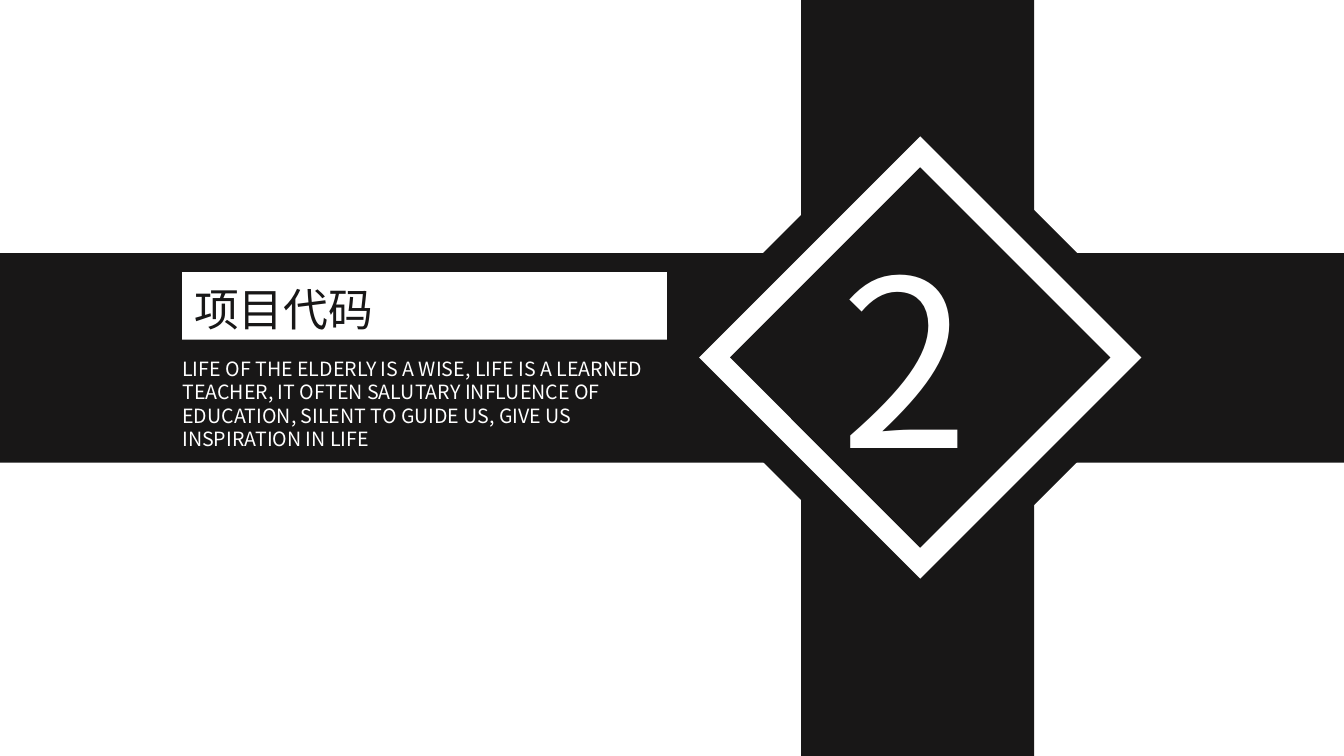
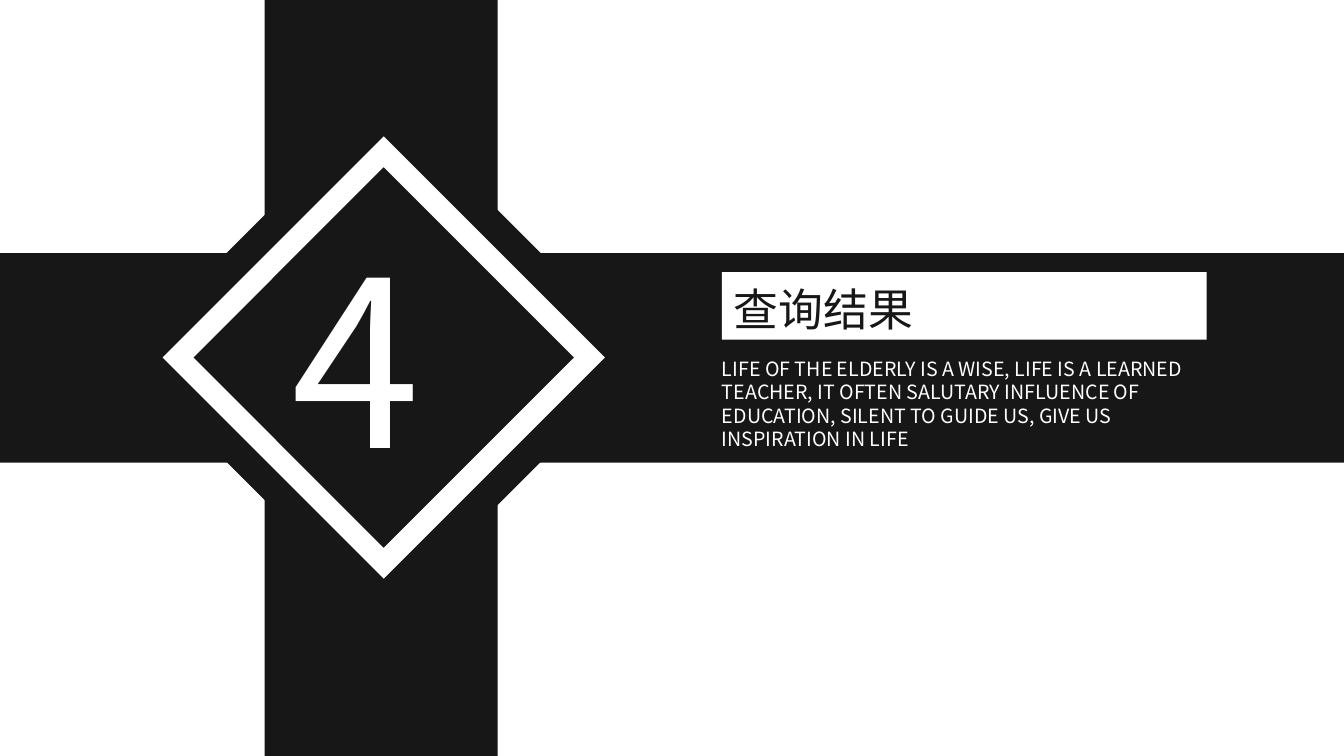
from pptx import Presentation
from pptx.dml.color import RGBColor
from pptx.enum.shapes import MSO_SHAPE
from pptx.enum.text import MSO_ANCHOR, MSO_AUTO_SIZE, PP_ALIGN
from pptx.oxml.ns import qn
from pptx.util import Cm, Pt
from lxml.etree import SubElement

WIDE, HIGH = 33.87, 19.05
INK, PAPER = "181717", "FFFFFF"
FONT = "Noto Sans CJK SC"
MID = 9.01  # height of the diamond's centre
RINGS = [(9.32, INK), (7.88, PAPER), (6.78, INK)]
MOTTO = ("LIFE OF THE ELDERLY IS A WISE, LIFE IS A LEARNED TEACHER, "
         "IT OFTEN SALUTARY INFLUENCE OF EDUCATION, SILENT TO GUIDE US, "
         "GIVE US INSPIRATION IN LIFE")

# number, heading, diamond centre, number left, plate left
PARTS = [
    ("2", "项目代码", 23.19, 20.93, 4.59),
    ("4", "查询结果", 9.67, 7.09, 18.19),
]


def paint(target, color):
    target.solid()
    target.fore_color.rgb = RGBColor.from_string(color)


def add_rect(slide, left, top, width, height, color, turn=0):
    rect = slide.shapes.add_shape(
        MSO_SHAPE.RECTANGLE, Cm(left), Cm(top), Cm(width), Cm(height))
    rect.shadow.inherit = False
    rect.line.fill.background()
    rect.rotation = turn
    paint(rect.fill, color)


def place(shape, left, top, width, height):
    """Move a text shape to its spot, in front of all others."""
    shape.left, shape.top = Cm(left), Cm(top)
    shape.width, shape.height = Cm(width), Cm(height)
    shape.element.getparent().append(shape.element)


def write(shape, text, size, color, align=PP_ALIGN.LEFT):
    frame = shape.text_frame
    frame.word_wrap = True
    frame.auto_size = MSO_AUTO_SIZE.NONE
    frame.vertical_anchor = MSO_ANCHOR.TOP
    para = frame.paragraphs[0]
    para.alignment = align
    para.line_spacing = 1.0
    para.space_before = Pt(0)
    run = para.add_run()
    run.text = text
    font = run.font
    font.size, font.bold, font.name = Pt(size), False, FONT
    paint(font.fill, color)
    SubElement(run._r.get_or_add_rPr(), qn("a:ea"), typeface=FONT)


def add_cross(slide, center):
    """Draw the two bands and the nested diamonds where they meet."""
    add_rect(slide, center - 3, 0, 5.87, HIGH, INK)
    add_rect(slide, 0, 6.38, WIDE, 5.28, INK)
    for side, color in RINGS:
        add_rect(slide, center - side / 2, MID - side / 2,
                 side, side, color, 45)


def add_part(deck, number, heading, center, left, plate):
    slide = deck.slides.add_slide(deck.slide_layouts.get_by_name("Section Header"))
    add_cross(slide, center)
    add_rect(slide, plate, 6.86, 12.22, 1.7, PAPER)

    digit = slide.shapes.add_textbox(0, 0, 0, 0)
    place(digit, left, 5.33, 4.4, 7.34)
    write(digit, number, 166, PAPER)

    body = slide.placeholders[1]
    place(body, plate - 0.25, 8.86, 12.62, 2.64)
    write(body, MOTTO, 14, PAPER)

    title = slide.shapes.title
    place(title, plate + 0.05, 6.96, 12.07, 1.63)
    write(title, heading, 32, INK, PP_ALIGN.JUSTIFY)


def main():
    deck = Presentation()
    deck.slide_width, deck.slide_height = Cm(WIDE), Cm(HIGH)
    paint(deck.slide_master.background.fill, PAPER)
    for part in PARTS:
        add_part(deck, *part)
    deck.save("out.pptx")


if __name__ == "__main__":
    main()
